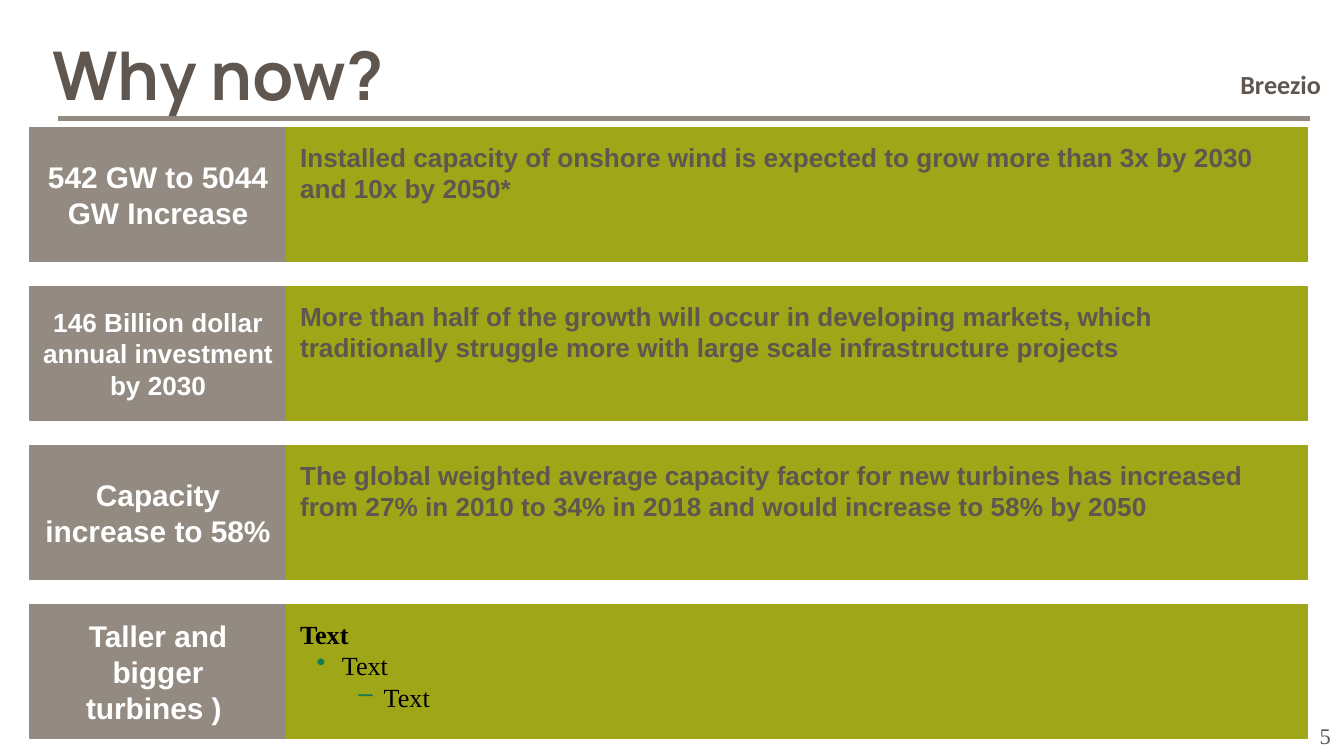
from dataclasses import dataclass

from lxml.etree import SubElement
from pptx import Presentation
from pptx.dml.color import RGBColor
from pptx.enum.shapes import MSO_CONNECTOR, MSO_SHAPE
from pptx.enum.text import MSO_ANCHOR, PP_ALIGN
from pptx.oxml.ns import qn
from pptx.util import Pt


@dataclass(frozen=True)
class Theme:
    ink: str = "5F574F"
    taupe: str = "938B82"
    olive: str = "9FA617"
    bullet: str = "177B57"
    white: str = "FFFFFF"
    black: str = "000000"
    title_size: int = 36
    label_size: int = 16
    body_size: int = 14
    number_size: int = 12


THEME = Theme()
BULLETS = {1: "•", 2: "–"}
BULLET_INDENT = 22.4
BULLET_HANGING = 13.5

ROW_TOP, ROW_PITCH, ROW_HEIGHT = 68.4, 85.2, 71.5
LABEL_LEFT, LABEL_WIDTH = 15.7, 138
DETAIL_LEFT, DETAIL_WIDTH = LABEL_LEFT + LABEL_WIDTH, 546.8

ROWS = [
    ("542 GW to 5044 GW Increase", THEME.label_size,
     "Installed capacity of onshore wind is expected to grow more than 3x by 2030 and 10x by 2050*"),
    ("146 Billion dollar annual investment by 2030", THEME.body_size,
     "More than half of the growth will occur in developing markets, which traditionally "
     "struggle more with large scale infrastructure projects"),
    ("Capacity increase to 58%", THEME.label_size,
     "The global weighted average capacity factor for new turbines has increased "
     "from 27% in 2010 to 34% in 2018 and would increase to 58% by 2050"),
    ("Taller and bigger turbines ) ", THEME.label_size, None),
]


def color(value):
    return RGBColor.from_string(value)


def set_bullet(paragraph, level):
    paragraph.level = level
    properties = paragraph._p.get_or_add_pPr()
    properties.set("marL", str(Pt(BULLET_INDENT * level)))
    properties.set("indent", str(-Pt(BULLET_HANGING)))
    bullet_color = SubElement(properties, qn("a:buClr"))
    SubElement(bullet_color, qn("a:srgbClr"), val=THEME.bullet)
    SubElement(properties, qn("a:buChar"), char=BULLETS[level])


def write(paragraph, text, *, size=THEME.body_size, font="Arial", ink=THEME.ink,
          bold=True, align=PP_ALIGN.LEFT, level=0):
    paragraph.alignment = align
    if level:
        set_bullet(paragraph, level)
    run = paragraph.add_run()
    run.text = text
    run.font.name = font
    run.font.size = Pt(size)
    run.font.bold = bold
    run.font.color.rgb = color(ink)


def prepare_frame(shape, anchor=MSO_ANCHOR.TOP, inset=7.2):
    frame = shape.text_frame
    frame.word_wrap = True
    frame.vertical_anchor = anchor
    frame.margin_left = frame.margin_right = Pt(7.2)
    frame.margin_top = frame.margin_bottom = Pt(inset)
    return frame


def add_text(slide, left, top, width, height, text, *, inset=7.2, **style):
    shape = slide.shapes.add_textbox(Pt(left), Pt(top), Pt(width), Pt(height))
    write(prepare_frame(shape, inset=inset).paragraphs[0], text, **style)


def add_panel(slide, left, top, width, fill, anchor=MSO_ANCHOR.TOP):
    shape = slide.shapes.add_shape(
        MSO_SHAPE.RECTANGLE, Pt(left), Pt(top), Pt(width), Pt(ROW_HEIGHT))
    shape.shadow.inherit = False
    shape.fill.solid()
    shape.fill.fore_color.rgb = color(fill)
    shape.line.color.rgb = color(fill)
    shape.line.width = Pt(0.75)
    return prepare_frame(shape, anchor)


def add_rule(slide, left, right, top):
    connector = slide.shapes.add_connector(
        MSO_CONNECTOR.STRAIGHT, Pt(left), Pt(top), Pt(right), Pt(top))
    connector.line.color.rgb = color(THEME.taupe)
    connector.line.width = Pt(3)
    SubElement(connector._element.spPr, qn("a:effectLst"))


def add_outline(frame):
    for level in range(3):
        paragraph = frame.add_paragraph() if level else frame.paragraphs[0]
        write(paragraph, "Text", font="Times New Roman", ink=THEME.black,
              bold=level == 0, level=level)


def add_row(slide, index, label, label_size, detail):
    top = ROW_TOP + index * ROW_PITCH
    label_frame = add_panel(slide, LABEL_LEFT, top, LABEL_WIDTH, THEME.taupe, MSO_ANCHOR.MIDDLE)
    write(label_frame.paragraphs[0], label, size=label_size, ink=THEME.white,
          align=PP_ALIGN.CENTER)
    detail_frame = add_panel(slide, DETAIL_LEFT, top, DETAIL_WIDTH, THEME.olive)
    if detail:
        write(detail_frame.paragraphs[0], detail)
    else:
        add_outline(detail_frame)


def main():
    presentation = Presentation()
    presentation.slide_width = Pt(720)
    presentation.slide_height = Pt(405)
    slide = presentation.slides.add_slide(presentation.slide_layouts[6])

    add_text(slide, 657.4, 29.5, 62.6, 21.6, "Breezio", font="Calibri")
    add_rule(slide, 31, 702, 63.4)
    add_text(slide, 699.8, 383.2, 20.2, 21, "5", inset=3.6, size=THEME.number_size,
             font="Times New Roman", bold=False)
    add_text(slide, 20.9, 10.8, 409, 60.5, "Why now?", size=THEME.title_size, font="Manrope")
    for index, row in enumerate(ROWS):
        add_row(slide, index, *row)

    presentation.save("out.pptx")


if __name__ == "__main__":
    main()
